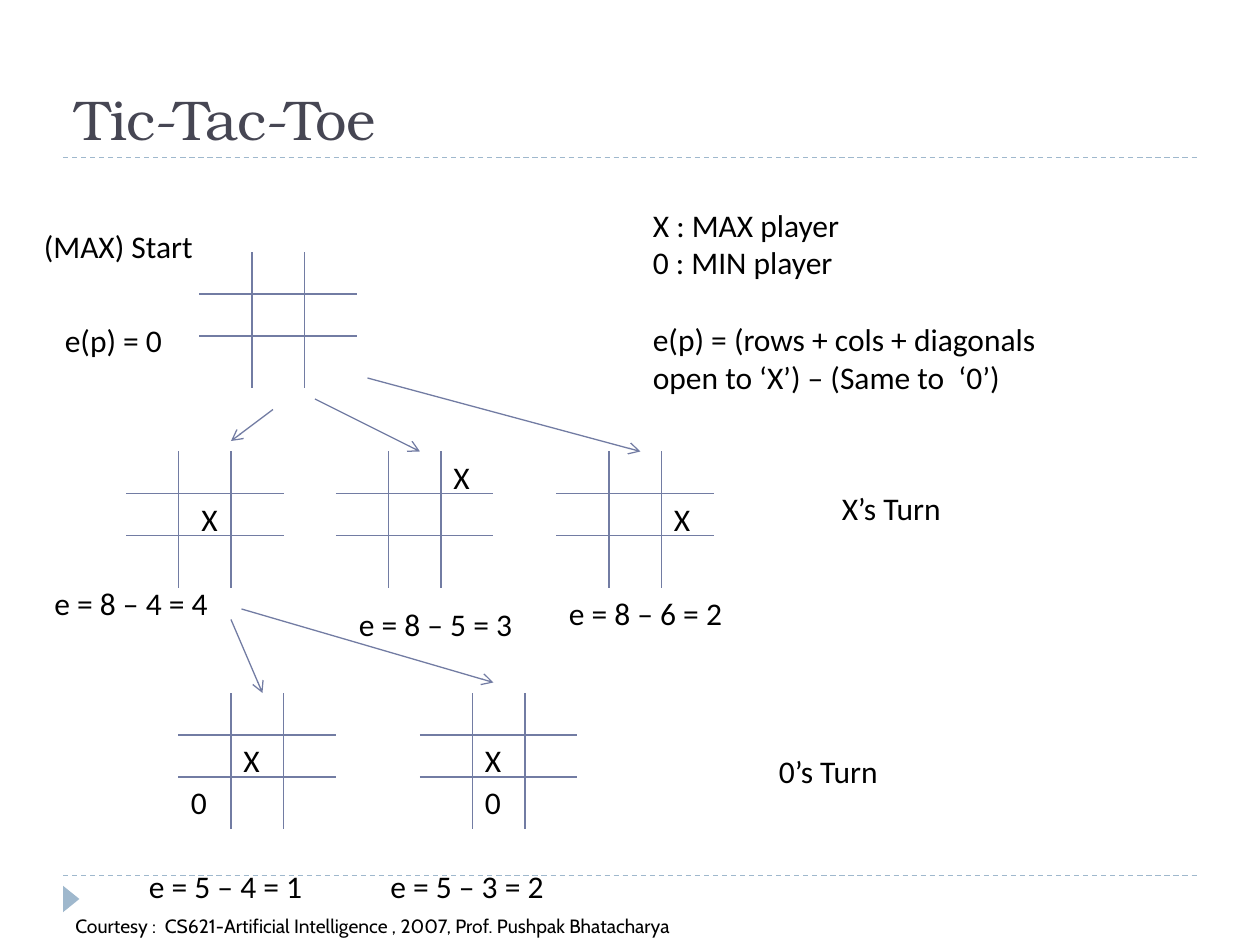
from dataclasses import dataclass

from lxml.etree import SubElement
from pptx import Presentation
from pptx.dml.color import RGBColor
from pptx.enum.dml import MSO_LINE_DASH_STYLE as Dash
from pptx.enum.shapes import MSO_CONNECTOR as Connector, MSO_SHAPE as Shape
from pptx.enum.text import MSO_ANCHOR as Anchor
from pptx.oxml.ns import qn
from pptx.util import Inches, Pt

BLACK = RGBColor(0x00, 0x00, 0x00)
TITLE_COLOR = RGBColor(0x46, 0x46, 0x53)
LINE_COLOR = RGBColor(0x72, 0x7C, 0xA3)
RULE_COLOR = RGBColor(0x9F, 0xB8, 0xCD)

# The slide is a grid of 120 columns by 90 rows, twelve to the inch
UNIT = Inches(1) // 12
COLUMNS, ROWS = 120, 90
CELL_WIDTH, CELL_HEIGHT = 5, 4
BOARD_WIDTH, BOARD_HEIGHT = 15, 13


@dataclass(frozen=True)
class Mark:
    text: str
    column: int
    row: int
    shift: float = 0


@dataclass(frozen=True)
class Board:
    left: float
    top: float
    marks: tuple[Mark, ...] = ()


@dataclass(frozen=True)
class Label:
    text: str
    left: float
    top: float
    width: float = 25


BOARDS = (
    Board(19, 24),
    Board(12, 43, (Mark("X", 1, 1, shift=1),)),
    Board(32, 43, (Mark("X", 2, 0),)),
    Board(53, 43, (Mark("X", 2, 1),)),
    Board(17, 66, (Mark("X", 1, 1), Mark("0", 0, 2))),
    Board(40, 66, (Mark("X", 1, 1), Mark("0", 1, 2))),
)

LABELS = (
    Label("(MAX) Start", 3, 21, 18),
    Label("e(p) = 0", 5, 30),
    Label("e = 8 – 4 = 4", 4, 55),
    Label("e = 8 – 5 = 3", 33, 57),
    Label("e = 8 – 6 = 2", 53, 56),
    Label("e = 5 – 4 = 1", 13, 82),
    Label("e = 5 – 3 = 2", 36, 82),
    Label("X’s Turn", 79, 46, 36),
    Label("0’s Turn", 73, 71, 36),
)

# Moves from a board to its successors: start column, row, end column, row
MOVES = (
    (26, 39, 22, 42),
    (30, 38, 40, 43),
    (35, 36, 61, 43),
    (22, 59, 25, 66),
    (23, 58, 47, 65),
)


def grid(units: float) -> int:
    return round(units * UNIT)


def add_text(slide, text: str, left: float, top: float, width: float,
             height: float = 4.8, *, size: float = 18, font: str = "Calibri",
             color: RGBColor = BLACK, anchor: Anchor = Anchor.TOP):
    """Add a wrapped text box with one paragraph per line of text."""
    box = slide.shapes.add_textbox(grid(left), grid(top), grid(width), grid(height))
    frame = box.text_frame
    frame.word_wrap = True
    frame.vertical_anchor = anchor
    frame.text = text
    for paragraph in frame.paragraphs:
        for run in paragraph.runs:
            run.font.size = Pt(size)
            run.font.name = font
            run.font.color.rgb = color
    return box


def add_line(slide, start_x: float, start_y: float, end_x: float, end_y: float,
             *, color: RGBColor = LINE_COLOR, dashed: bool = False,
             arrow: bool = False) -> None:
    connector = slide.shapes.add_connector(
        Connector.STRAIGHT, grid(start_x), grid(start_y), grid(end_x), grid(end_y))
    connector.line.color.rgb = color
    connector.line.width = Pt(0.75)
    if dashed:
        connector.line.dash_style = Dash.DASH
    properties = connector.element.spPr
    if arrow:
        SubElement(properties.find(qn("a:ln")), qn("a:tailEnd"), type="arrow")
    SubElement(properties, qn("a:effectLst"))


def add_board(slide, board: Board) -> None:
    right, bottom = board.left + BOARD_WIDTH, board.top + BOARD_HEIGHT
    for step in (1, 2):
        x = board.left + step * CELL_WIDTH
        y = board.top + step * CELL_HEIGHT
        add_line(slide, x, board.top, x, bottom)
        add_line(slide, board.left, y, right, y)
    for mark in board.marks:
        add_text(slide, mark.text,
                 board.left + mark.column * CELL_WIDTH + mark.shift,
                 board.top + mark.row * CELL_HEIGHT, 4)


def add_frame(slide) -> None:
    """Add the two dashed rules and the footer triangle."""
    for y in (15, 83.4):
        add_line(slide, 6, y, COLUMNS - 6, y, color=RULE_COLOR, dashed=True)
    triangle = slide.shapes.add_shape(
        Shape.ISOSCELES_TRIANGLE, Inches(0.46), Inches(7.07), Inches(0.21), Inches(0.13))
    triangle.rotation = 90
    triangle.shadow.inherit = False
    triangle.fill.solid()
    triangle.fill.fore_color.rgb = RULE_COLOR
    triangle.line.fill.background()


def main() -> None:
    presentation = Presentation()
    presentation.slide_width = grid(COLUMNS)
    presentation.slide_height = grid(ROWS)
    slide = presentation.slides.add_slide(presentation.slide_layouts[6])

    # Frame and title
    add_frame(slide)
    add_text(slide, "Tic-Tac-Toe", 6, 2, 108, 13, size=32,
             font="TeX Gyre Bonum", color=TITLE_COLOR, anchor=Anchor.BOTTOM)

    # Game tree
    for board in BOARDS:
        add_board(slide, board)
    for move in MOVES:
        add_line(slide, *move, arrow=True)
    for label in LABELS:
        add_text(slide, label.text, label.left, label.top, label.width)

    # Legend, with the formula set one line apart
    legend = add_text(
        slide,
        "X : MAX player\n0 : MIN player\n"
        "e(p) = (rows + cols + diagonals open to ‘X’) – (Same to  ‘0’)",
        61, 19, 42, 19.2)
    legend.text_frame.paragraphs[-1].space_before = Pt(22)

    # Credit
    add_text(slide,
             "Courtesy :  CS621-Artificial Intelligence , 2007, Prof. Pushpak Bhatacharya",
             6, 86.5, 101, 3.5, size=11, font="Cabin")

    presentation.save("out.pptx")


if __name__ == "__main__":
    main()
